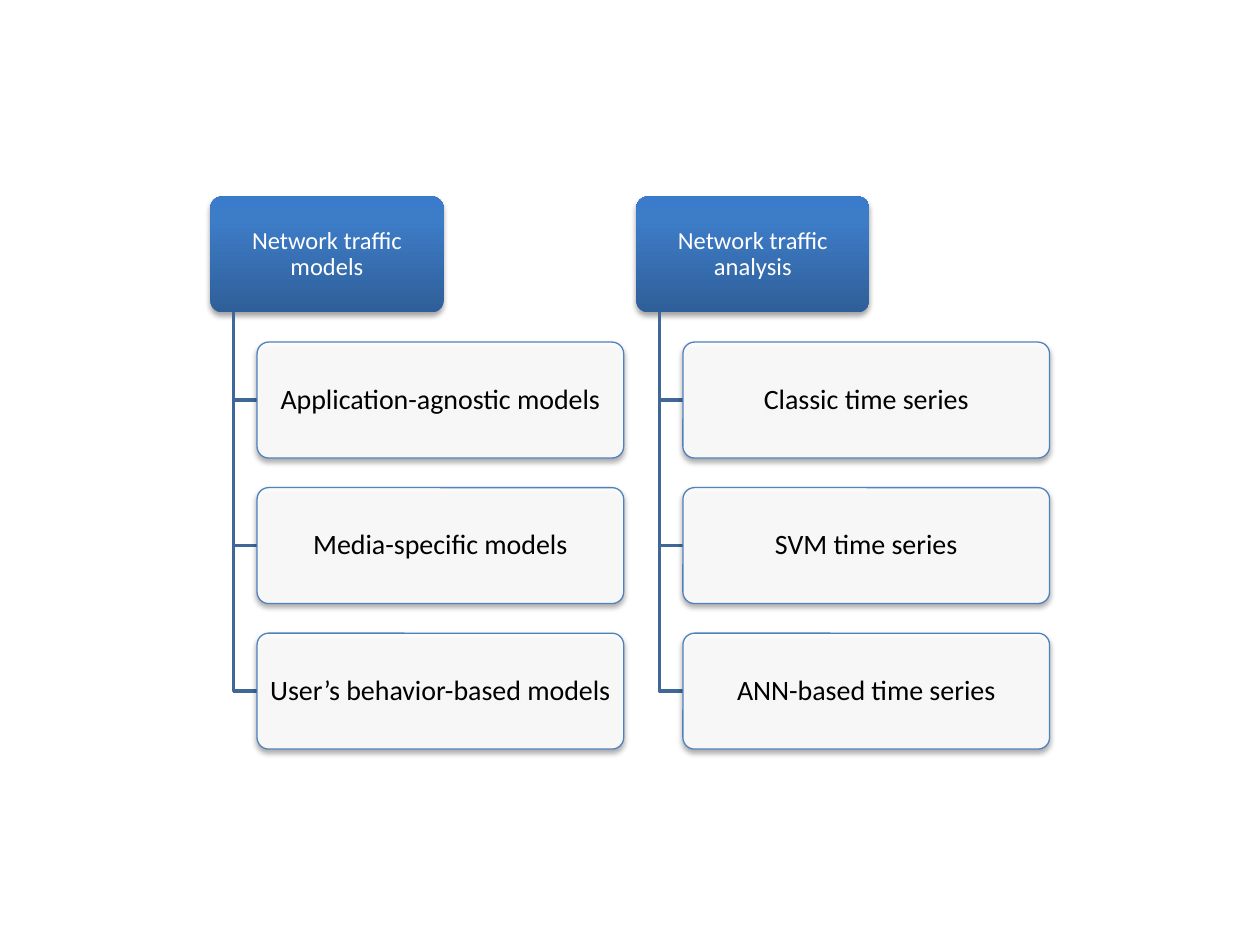
import dataclasses

import lxml.etree
import pptx
import pptx.dml.color
import pptx.enum.shapes
import pptx.enum.text
import pptx.oxml.ns
import pptx.util

Inches = pptx.util.Inches
Pt = pptx.util.Pt
RGBColor = pptx.dml.color.RGBColor
qn = pptx.oxml.ns.qn

WHITE = RGBColor(0xFF, 0xFF, 0xFF)
BLACK = RGBColor(0, 0, 0)
EDGE = RGBColor(0x4F, 0x81, 0xBD)
LINK = RGBColor(0x3F, 0x67, 0x97)
DARK = RGBColor(0x2F, 0x5F, 0x99)
MID = RGBColor(0x3D, 0x7C, 0xC7)
LIGHT = RGBColor(0x3A, 0x7C, 0xCB)

TOP = 1.56
HIGH = 0.92
STEP = 1.155
HEAD_WIDE = 1.85
ITEM_WIDE = 2.91
INDENT = 0.37
STEM = INDENT / 2


@dataclasses.dataclass
class Branch:
    left: float
    title: str
    items: list[str]


BRANCHES = [
    Branch(1.67, "Network traffic models", [
        "Application-agnostic models",
        "Media-specific models",
        "User’s behavior-based models",
    ]),
    Branch(5.05, "Network traffic analysis", [
        "Classic time series",
        "SVM time series",
        "ANN-based time series",
    ]),
]


def add_alpha(color, percent: int) -> None:
    lxml.etree.SubElement(color, qn("a:alpha"), val=str(percent * 1000))


def add_shadow(shape) -> None:
    shape.shadow.inherit = False
    effects = shape._element.spPr.find(qn("a:effectLst"))
    outer = lxml.etree.SubElement(
        effects, qn("a:outerShdw"), blurRad=str(Pt(3.1)), dist=str(Pt(1.8)),
        dir="5400000", rotWithShape="0")
    color = lxml.etree.SubElement(outer, qn("a:srgbClr"), val=str(BLACK))
    add_alpha(color, 35)


def add_box(shapes, left: float, top: float, wide: float, text: str,
            size: int, ink: RGBColor):
    box = shapes.add_shape(
        pptx.enum.shapes.MSO_SHAPE.ROUNDED_RECTANGLE,
        Inches(left), Inches(top), Inches(wide), Inches(HIGH))
    box.adjustments[0] = 0.1
    add_shadow(box)
    frame = box.text_frame
    frame.word_wrap = True
    frame.vertical_anchor = pptx.enum.text.MSO_ANCHOR.MIDDLE
    frame.margin_left = frame.margin_right = Inches(0.06)
    frame.margin_top = frame.margin_bottom = Inches(0.05)
    frame.text = text
    para = frame.paragraphs[0]
    para.alignment = pptx.enum.text.PP_ALIGN.CENTER
    para.line_spacing = 0.9
    para.font.name = "Calibri"
    para.font.size = Pt(size)
    para.font.color.rgb = ink
    return box


def add_head(shapes, branch: Branch) -> None:
    box = add_box(shapes, branch.left, TOP, HEAD_WIDE, branch.title, 14, WHITE)
    box.line.fill.background()
    box.fill.gradient()
    box.fill.gradient_angle = 90
    stops = box._element.spPr.find(qn("a:gradFill")).find(qn("a:gsLst"))
    for stop in list(stops):
        stops.remove(stop)
    for place, color in ((0, DARK), (80, MID), (100, LIGHT)):
        stop = lxml.etree.SubElement(stops, qn("a:gs"), pos=str(place * 1000))
        lxml.etree.SubElement(stop, qn("a:srgbClr"), val=str(color))


def add_item(shapes, left: float, top: float, text: str) -> None:
    box = add_box(shapes, left, top, ITEM_WIDE, text, 16, BLACK)
    box.fill.solid()
    box.fill.fore_color.rgb = WHITE
    fill = box._element.spPr.find(qn("a:solidFill"))
    add_alpha(fill.find(qn("a:srgbClr")), 90)
    box.line.color.rgb = EDGE
    box.line.width = Pt(0.75)


def add_elbow(shapes, left: float, right: float, end: float) -> None:
    """Draw the stem from under the head down and across to an item."""
    path = shapes.build_freeform(Inches(left), Inches(TOP + HIGH))
    path.add_line_segments(
        [(Inches(left), Inches(end)), (Inches(right), Inches(end))],
        close=False)
    elbow = path.convert_to_shape()
    elbow.shadow.inherit = False
    elbow.fill.background()
    elbow.line.color.rgb = LINK
    elbow.line.width = Pt(2)


def add_branch(shapes, branch: Branch) -> None:
    add_head(shapes, branch)
    left = branch.left + INDENT
    for row, text in enumerate(branch.items, 1):
        top = TOP + row * STEP
        add_elbow(shapes, branch.left + STEM, left, top + HIGH / 2)
        add_item(shapes, left, top, text)


def main() -> None:
    deck = pptx.Presentation()
    deck.slide_width = Inches(10)
    deck.slide_height = Inches(7.5)
    slide = deck.slides.add_slide(deck.slide_layouts[6])
    for branch in BRANCHES:
        add_branch(slide.shapes, branch)
    deck.save("out.pptx")


if __name__ == "__main__":
    main()
